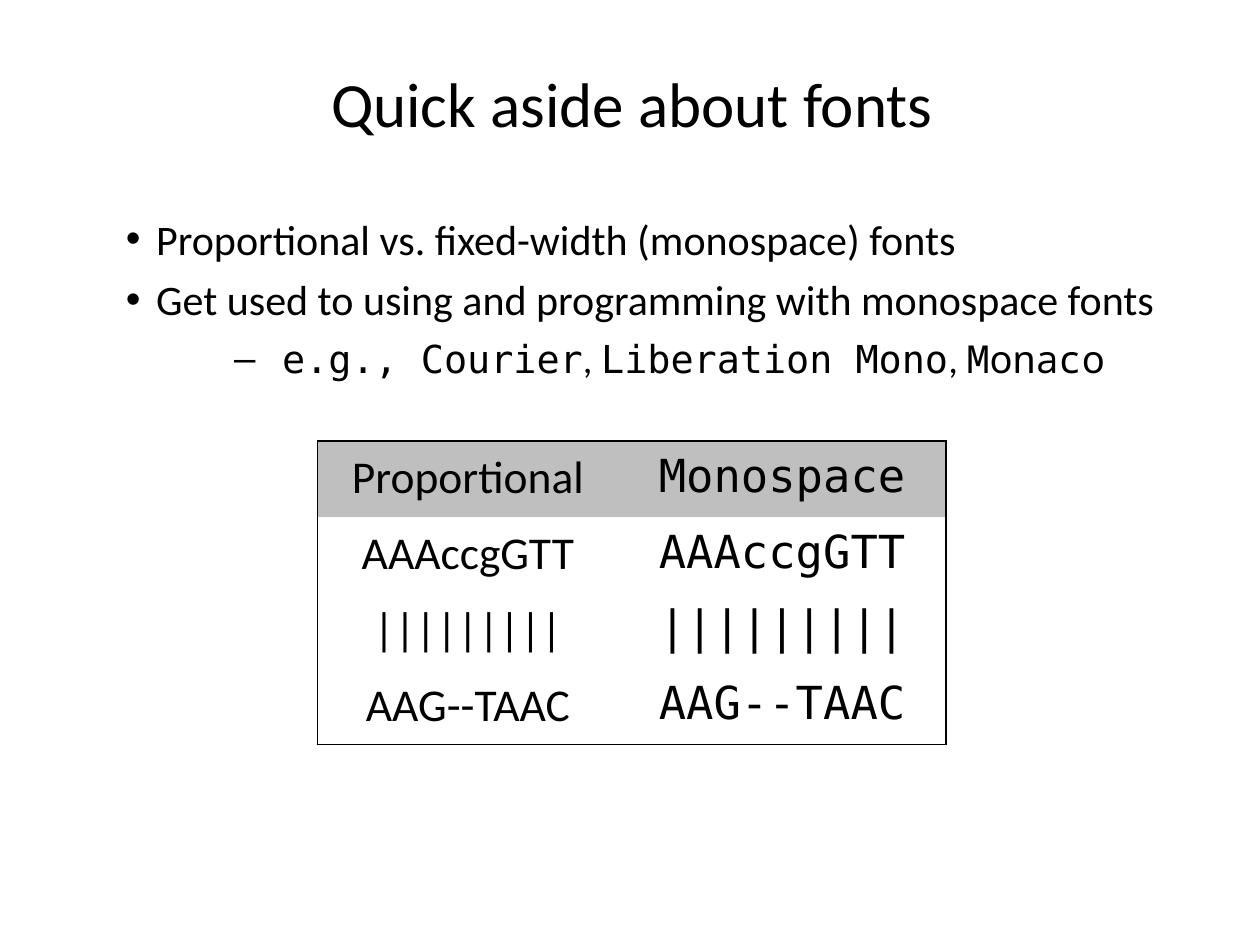
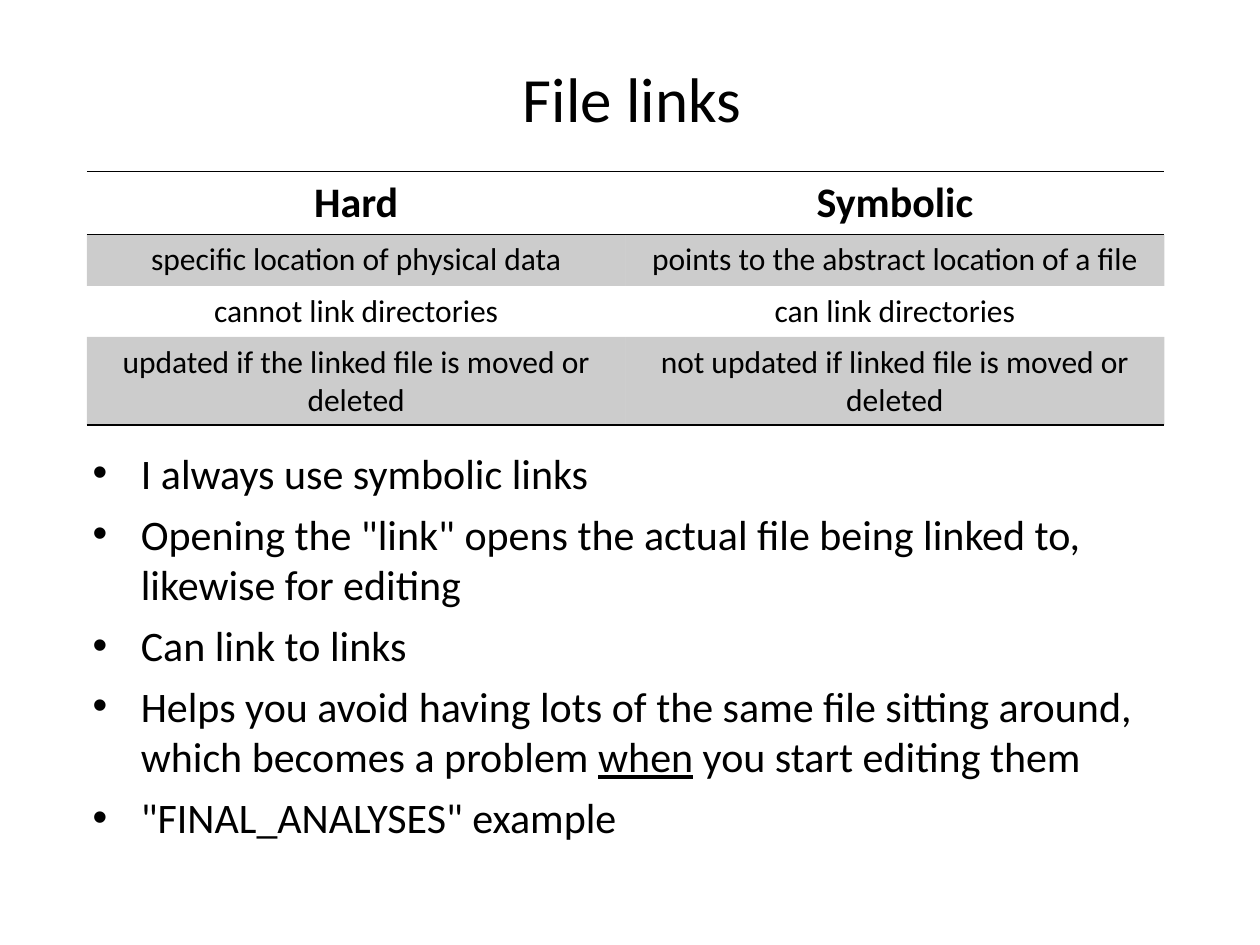
"""Builds two slides, one about fonts and one about file links."""
from dataclasses import dataclass

from lxml.etree import SubElement
from pptx import Presentation
from pptx.dml.color import RGBColor
from pptx.enum.text import MSO_ANCHOR as Anchor, MSO_AUTO_SIZE as AutoSize, PP_ALIGN as Align
from pptx.oxml.ns import qn
from pptx.util import Cm, Pt

TITLE_ONLY = 5
NO_STYLE = "{2D5ABB26-0587-4C30-8999-92F81FD0307C}"


@dataclass(frozen=True)
class Theme:
    ink: str = "000000"
    header_grey: str = "BFBFBF"
    band_opacity: int = 20
    sans: str = "Calibri"
    mono: str = "DejaVu Sans Mono"
    other_mono: str = "Noto Sans Mono"
    bullet_font: str = "Arial"
    title_size: int = 36
    body_size: int = 24
    sub_size: int = 22
    sample_size: int = 26
    cell_size: int = 18
    paragraph_gap: int = 6
    border_width: int = 1


@dataclass(frozen=True)
class Bullet:
    mark: str
    level: int
    size: int
    left: float
    hanging: float


class Deck:
    def __init__(self, theme):
        self.theme = theme
        self.presentation = Presentation()
        self.presentation.slide_width = Cm(25.4)
        self.presentation.slide_height = Cm(19.05)
        self.slide = None

    def add_slide(self, title, top):
        layout = self.presentation.slide_layouts[TITLE_ONLY]
        self.slide = self.presentation.slides.add_slide(layout)
        shape = self.slide.shapes.title
        shape.left, shape.top, shape.width, shape.height = Cm(1.02), Cm(top), Cm(23.44), Cm(2.39)
        shape.text_frame.vertical_anchor = Anchor.MIDDLE
        paragraph = shape.text_frame.paragraphs[0]
        paragraph.alignment = Align.CENTER
        self.add_run(paragraph, title, self.theme.title_size)

    def add_run(self, paragraph, text, size, font=None, bold=False, underline=False):
        run = paragraph.add_run()
        run.text = text
        run.font.name = font or self.theme.sans
        run.font.size = Pt(size)
        run.font.bold = bold
        run.font.underline = underline
        run.font.color.rgb = RGBColor.from_string(self.theme.ink)

    def add_bullets(self, left, top, width, height, items):
        box = self.slide.shapes.add_textbox(Cm(left), Cm(top), Cm(width), Cm(height))
        frame = box.text_frame
        frame.word_wrap = True
        frame.auto_size = AutoSize.SHAPE_TO_FIT_TEXT
        for index, (bullet, runs) in enumerate(items):
            paragraph = frame.add_paragraph() if index else frame.paragraphs[0]
            self.format_bullet(paragraph, bullet)
            for text, options in runs:
                self.add_run(paragraph, text, bullet.size, **options)

    def format_bullet(self, paragraph, bullet):
        paragraph.level = bullet.level
        paragraph.space_after = Pt(self.theme.paragraph_gap)
        properties = paragraph._p.get_or_add_pPr()
        properties.set("marL", str(Cm(bullet.left)))
        properties.set("indent", str(-Cm(bullet.hanging)))
        SubElement(properties, qn("a:buFont"), typeface=self.theme.bullet_font)
        SubElement(properties, qn("a:buChar"), char=bullet.mark)

    def add_table(self, left, top, column_widths, row_height, row_count):
        frame = self.slide.shapes.add_table(
            row_count, len(column_widths), Cm(left), Cm(top),
            Cm(sum(column_widths)), Cm(row_height * row_count))
        table = frame.table
        table.first_row = table.horz_banding = False
        table._tbl.tblPr.find(qn("a:tableStyleId")).text = NO_STYLE
        for column, width in zip(table.columns, column_widths):
            column.width = Cm(width)
        for row in table.rows:
            row.height = Cm(row_height)
        return table

    def fill_cell(self, cell, text, size, font=None, bold=False, edges="", fill=None, opacity=100):
        paragraph = cell.text_frame.paragraphs[0]
        paragraph.alignment = Align.CENTER
        self.add_run(paragraph, text, size, font, bold)
        properties = cell._tc.get_or_add_tcPr()
        for edge in edges:
            line = SubElement(properties, qn(f"a:ln{edge}"), w=str(Pt(self.theme.border_width)))
            solid = SubElement(line, qn("a:solidFill"))
            SubElement(solid, qn("a:srgbClr"), val=self.theme.ink)
        if fill is None:
            cell.fill.background()
            return
        cell.fill.solid()
        cell.fill.fore_color.rgb = RGBColor.from_string(fill)
        if opacity < 100:
            color = properties.find(f"{qn('a:solidFill')}/{qn('a:srgbClr')}")
            SubElement(color, qn("a:alpha"), val=str(opacity * 1000))


def build_fonts_slide(deck):
    theme = deck.theme
    deck.add_slide("Quick aside about fonts", 0.86)
    point = Bullet("•", 0, theme.body_size, 1.27, 0.61)
    example = Bullet("–", 1, theme.sub_size, 3.81, 0.97)
    mono = {"font": theme.mono}
    deck.add_bullets(1.63, 4.17, 22.2, 3.68, [
        (point, [("Proportional vs. fixed-width (monospace) fonts", {})]),
        (point, [("Get used to using and programming with monospace fonts", {})]),
        (example, [("e.g., Courier", mono), (", ", {}), ("Liberation Mono", mono),
                   (", ", {}), ("Monaco", {"font": theme.other_mono})]),
    ])

    samples = ["AAAccgGTT", "|||||||||", "AAG--TAAC"]
    columns = [("Proportional", theme.sans), ("Monospace", theme.mono)]
    last_row = len(samples)
    table = deck.add_table(6.4, 8.89, [6.07, 6.6], 1.53, last_row + 1)
    for column, (heading, font) in enumerate(columns):
        for row, text in enumerate([heading, *samples]):
            cell = table.cell(row, column)
            cell.margin_left = cell.margin_right = Cm(0.38)
            cell.margin_top = cell.margin_bottom = Cm(0.18)
            edges = "LR"[column] + ("T" if row == 0 else "B" if row == last_row else "")
            deck.fill_cell(cell, text, theme.sample_size, font, edges=edges,
                           fill=theme.header_grey if row == 0 else None)


def build_links_slide(deck):
    theme = deck.theme
    deck.add_slide("File links", 0.76)
    point = Bullet("•", 0, theme.body_size, 1.57, 0.97)
    deck.add_bullets(1.02, 8.89, 23.5, 8.28, [
        (point, [("I always use symbolic links", {})]),
        (point, [('Opening the "link" opens the actual file being linked to, '
                  "likewise for editing", {})]),
        (point, [("Can link to links", {})]),
        (point, [("Helps you avoid having lots of the same file sitting around, "
                  "which becomes a problem ", {}),
                 ("when", {"underline": True}), (" you start editing them", {})]),
        (point, [('"FINAL_ANALYSES" example', {})]),
    ])

    rows = [
        ("Hard", "Symbolic"),
        ("specific location of physical data", "points to the abstract location of a file"),
        ("cannot link directories", "can link directories"),
        ("updated if the linked file is moved or deleted",
         "not updated if linked file is moved or deleted"),
    ]
    table = deck.add_table(1.75, 3.46, [10.86, 10.86], 1.03, len(rows))
    for row, texts in enumerate(rows):
        header = row == 0
        edges = "TB" if header else "B" if row == len(rows) - 1 else ""
        for column, text in enumerate(texts):
            deck.fill_cell(table.cell(row, column), text,
                           theme.body_size if header else theme.cell_size,
                           bold=header, edges=edges,
                           fill=theme.ink if row % 2 else None, opacity=theme.band_opacity)


def main():
    deck = Deck(Theme())
    build_fonts_slide(deck)
    build_links_slide(deck)
    deck.presentation.save("out.pptx")


if __name__ == "__main__":
    main()
